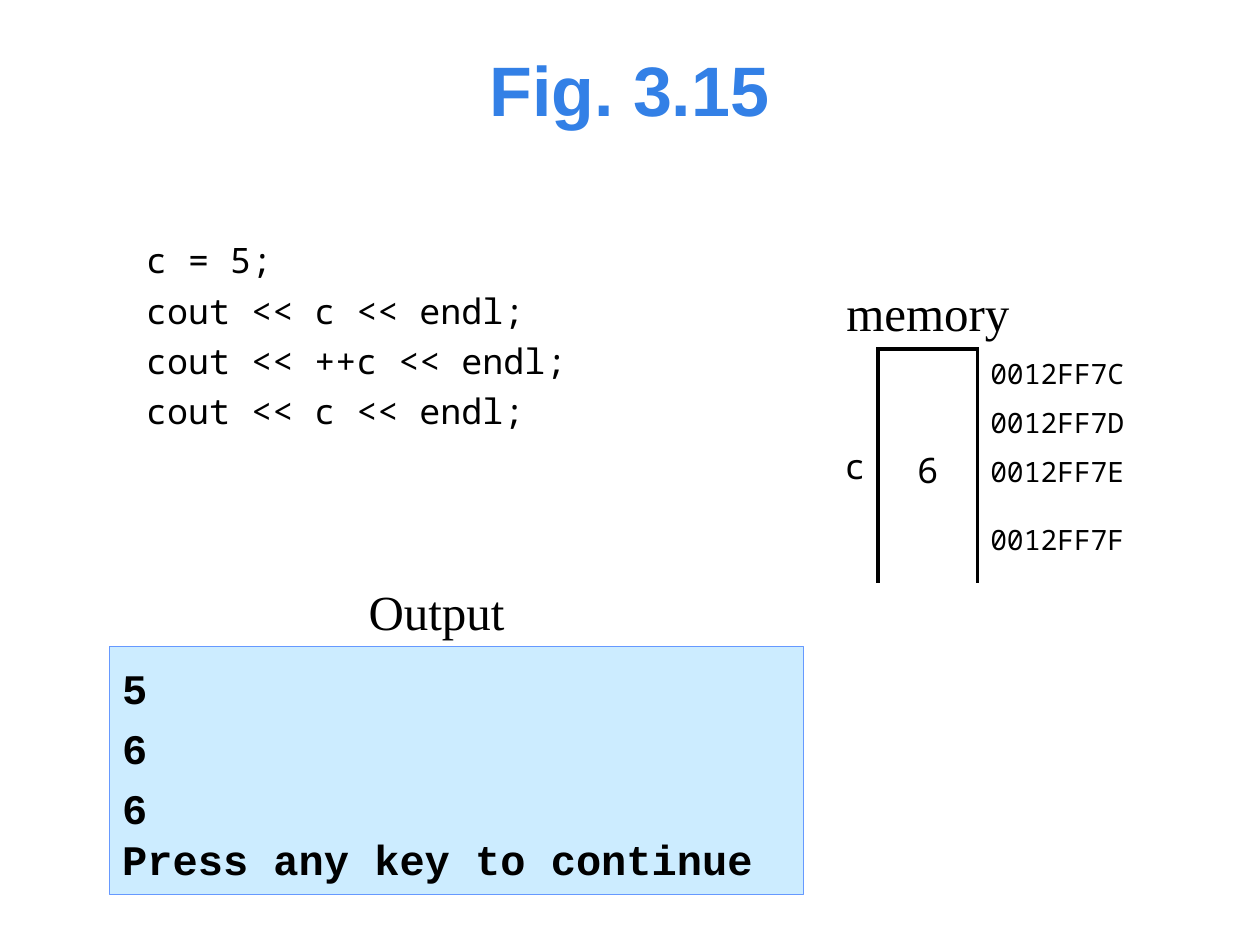
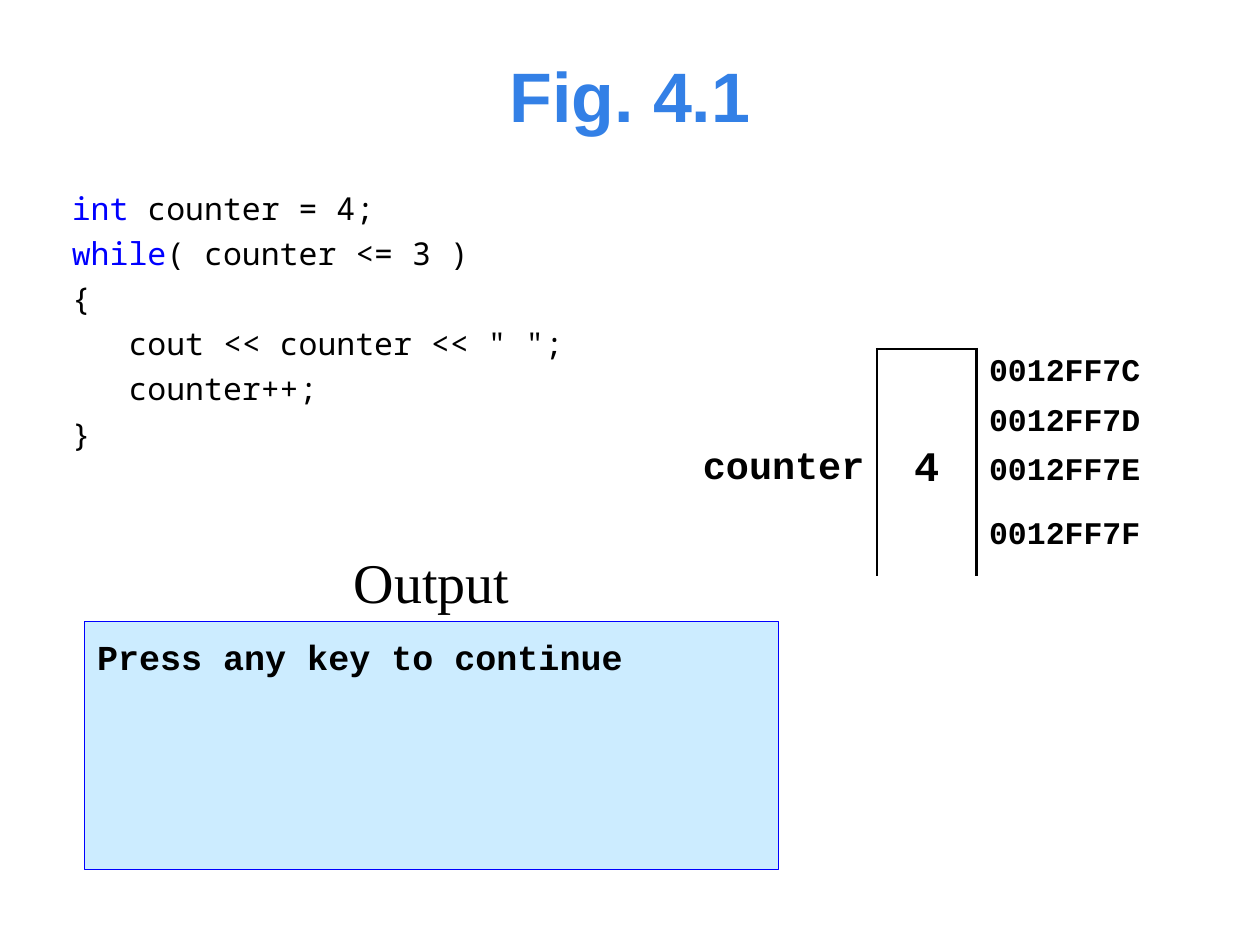
"""Build two slides that trace C++ code, its memory and its output."""
from lxml.etree import SubElement
from pptx import Presentation
from pptx.dml.color import RGBColor
from pptx.enum.text import MSO_ANCHOR as Anchor, MSO_AUTO_SIZE as AutoSize, PP_ALIGN as Align
from pptx.oxml import parse_xml
from pptx.oxml.ns import nsdecls, qn
from pptx.util import Inches, Pt

COLORS = {"title": "3380E6", "text": "000000", "keyword": "0000FF", "output": "CCECFF"}
MONO, COURIER, SERIF = "Noto Sans Mono", "Courier New", "Times New Roman"
NO_STYLE = "{2D5ABB26-0587-4C30-8999-92F81FD0307C}"
ADDRESSES = ["0012FF7C", "0012FF7D", "0012FF7E", "0012FF7F"]
LINE_SPACE = 0.234
ROW_HEIGHT = 0.39

PAGES = [
    {
        "title": ("Fig. 3.15", (0.27, 0.21, 9.45, 0.98)),
        "code": ([("", "c = 5;"), ("", "cout << c << endl;"),
                  ("", "cout << ++c << endl;"), ("", "cout << c << endl;")],
                 (1.06, 1.78, 3.54, 1.77), 20),
        "output": (["5", "6", "6", "Press any key to continue"],
                   (0.87, 5.13, 5.51, 1.97), 24, "6699FF"),
        "captions": [("Output", (2.68, 4.54, 1.57, 0.59), 28),
                     ("memory", (6.58, 2.17, 1.57, 0.59), 28)],
        "memory": {"left": 6.38, "widths": [0.59, 0.79, 1.38], "last_row": 0.69,
                   "font": MONO, "bold": False, "border": 2.25,
                   "label": ("c", 20, (0.1, 0, 0.1, 0.16)),
                   "value": ("6", 20, (0, 0, 0, 0.1)),
                   "address": (16, (0.1, 0, 0.1, 0))},
    },
    {
        "title": ("Fig. 4.1", (0.67, 0.43, 8.66, 0.64)),
        "code": ([("int", " counter = 4;"), ("while", "( counter <= 3 )"), ("", "{"),
                  ("", '   cout << counter << " ";'), ("", "   counter++;"), ("", "}")],
                 (0.47, 1.39, 4.53, 2.56), 18),
        "output": (["Press any key to continue"], (0.67, 4.93, 5.51, 1.97), 20, "0000FF"),
        "captions": [("Output", (2.64, 4.14, 1.57, 0.79), 32)],
        "memory": {"left": 5.39, "widths": [1.57, 0.79, 1.57], "last_row": 0.61,
                   "font": COURIER, "bold": True, "border": 1.5,
                   "label": ("counter", 22, (0.1, 0.02, 0.1, 0.05)),
                   "value": ("4", 24, (0.1, 0.02, 0.1, 0.05)),
                   "address": (18, (0.1, 0.04, 0.1, 0.04))},
    },
]


def set_font(font, name, size, bold=False, color="text"):
    font.name, font.size, font.bold = name, Pt(size), bold
    font.color.rgb = RGBColor.from_string(COLORS[color])


def fill_list(box, place, lines, indent, name, size, bold=False):
    box.left, box.top, box.width, box.height = map(Inches, place)
    frame = box.text_frame
    frame.word_wrap, frame.auto_size = True, AutoSize.NONE
    frame.vertical_anchor = Anchor.TOP
    frame.margin_top = Inches(0.05) + Pt(size * LINE_SPACE)
    for index, (keyword, rest) in enumerate(lines):
        para = frame.paragraphs[0] if index == 0 else frame.add_paragraph()
        properties = para._p.get_or_add_pPr()
        properties.set("marL", str(Inches(indent)))
        properties.set("indent", str(-Inches(indent)))
        SubElement(properties, qn("a:buNone"))
        follows = index > 0 and not rest.startswith("Press")
        para.space_before = Pt(round(size * LINE_SPACE, 1) if follows else 0)
        set_font(para.font, name, size, bold)
        if keyword:
            span = para.add_run()
            span.text = keyword
            span.font.color.rgb = RGBColor.from_string(COLORS["keyword"])
        para.add_run().text = rest


deck = Presentation()
deck.slide_width, deck.slide_height = Inches(10), Inches(7.5)

for content in PAGES:
    page = deck.slides.add_slide(deck.slide_layouts[3])
    title, code_box, output_box = list(page.placeholders)[:3]

    text, place = content["title"]
    title.left, title.top, title.width, title.height = map(Inches, place)
    title.text_frame.text = text
    title.text_frame.auto_size = AutoSize.NONE
    title.text_frame.vertical_anchor = Anchor.MIDDLE
    title.text_frame.paragraphs[0].alignment = Align.CENTER
    set_font(title.text_frame.paragraphs[0].font, "Arial", 40, True, "title")

    lines, place, size = content["code"]
    fill_list(code_box, place, lines, 0.69, MONO, size)

    lines, place, size, edge = content["output"]
    fill_list(output_box, place, [("", line) for line in lines], 0.38, COURIER, size, True)
    output_box.fill.solid()
    output_box.fill.fore_color.rgb = RGBColor.from_string(COLORS["output"])
    output_box.line.color.rgb = RGBColor.from_string(edge)
    output_box.line.width = Pt(0.75)

    for text, place, size in content["captions"]:
        caption = page.shapes.add_textbox(*map(Inches, place)).text_frame
        caption.word_wrap, caption.vertical_anchor = True, Anchor.BOTTOM
        para = caption.paragraphs[0]
        para.text, para.alignment = text, Align.CENTER
        set_font(para.font, SERIF, size)

    memory = content["memory"]
    heights = [ROW_HEIGHT] * 3 + [memory["last_row"]]
    table = page.shapes.add_table(
        4, 3, Inches(memory["left"]), Inches(2.77),
        Inches(sum(memory["widths"])), Inches(sum(heights))).table
    table.first_row = table.horz_banding = False
    table._tbl.tblPr.find(qn("a:tableStyleId")).text = NO_STYLE
    for column, width in zip(table.columns, memory["widths"]):
        column.width = Inches(width)
    for row, height in zip(table.rows, heights):
        row.height = Inches(height)

    address_size, address_margins = memory["address"]
    entries = [(0, 0, *memory["label"], Align.RIGHT, 1.4),
               (0, 1, *memory["value"], Align.CENTER, 1.4)]
    entries += [(row, 2, address, address_size, address_margins, Align.LEFT, 1.0)
                for row, address in enumerate(ADDRESSES)]
    for row, column, text, size, margins, alignment, spacing in entries:
        cell = table.cell(row, column)
        cell.margin_left, cell.margin_top, cell.margin_right, cell.margin_bottom = map(
            Inches, margins)
        cell.vertical_anchor = Anchor.MIDDLE
        para = cell.text_frame.paragraphs[0]
        para.text, para.alignment, para.line_spacing = text, alignment, spacing
        set_font(para.font, memory["font"], size, memory["bold"])

    for row in range(4):
        for column, sides in enumerate(["R", "LR", "L"]):
            if column == 1:
                sides += {0: "T", 3: "B"}.get(row, "")
            cell = table.cell(row, column)
            cell.fill.background()
            for index, side in enumerate(sides):
                cell._tc.get_or_add_tcPr().insert(index, parse_xml(
                    f'<a:ln{side} {nsdecls("a")} w="{Pt(memory["border"])}"><a:solidFill>'
                    f'<a:srgbClr val="{COLORS["text"]}"/></a:solidFill></a:ln{side}>'))
    for column in range(2):
        table.cell(0, column).merge(table.cell(3, column))

deck.save("out.pptx")
